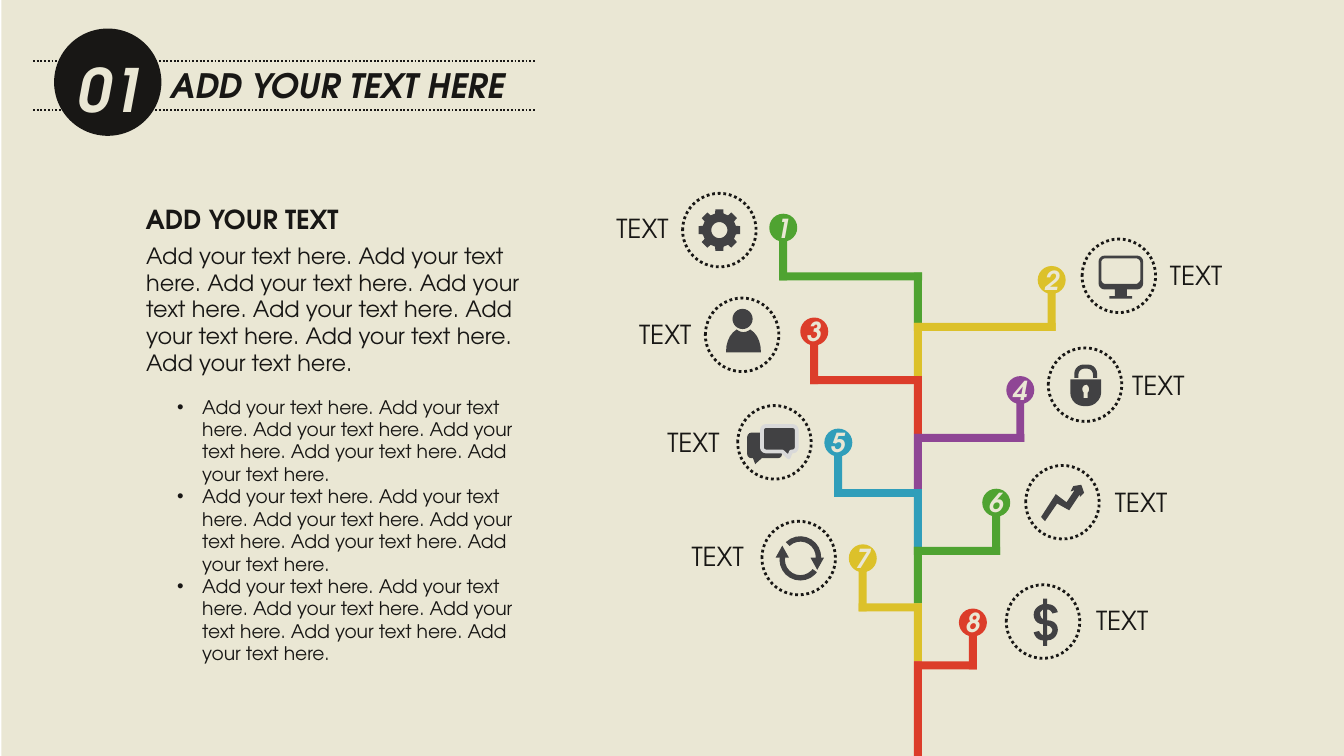
from dataclasses import dataclass
from math import cos, pi, sin

from lxml.etree import SubElement
from pptx import Presentation
from pptx.dml.color import RGBColor
from pptx.enum.dml import MSO_LINE
from pptx.enum.shapes import MSO_CONNECTOR, MSO_SHAPE
from pptx.enum.text import MSO_AUTO_SIZE, PP_ALIGN
from pptx.oxml.ns import qn
from pptx.util import Pt


@dataclass(frozen=True)
class Theme:
    font: str = "TeX Gyre Adventor"
    cream: str = "EAE7D4"
    ink: str = "181715"
    icon: str = "414143"
    edge: str = "D9D9D9"
    green: str = "4FA331"
    yellow: str = "DCC12A"
    red: str = "DC3D2A"
    purple: str = "8F4695"
    blue: str = "309EBA"
    number: int = 32
    title: int = 18
    label: int = 14
    body: int = 12
    bullet: int = 10


theme = Theme()
deck = Presentation()
deck.slide_width, deck.slide_height = Pt(720), Pt(405)
page = deck.slides.add_slide(deck.slide_layouts[6])
shapes = page.shapes


def add_solid(kind, left, top, width, height, colour=None):
    """Add a preset shape without outline; no colour means no fill."""
    shape = shapes.add_shape(kind, Pt(left), Pt(top), Pt(width), Pt(height))
    shape.shadow.inherit = False
    shape.line.fill.background()
    if colour:
        shape.fill.solid()
        shape.fill.fore_color.rgb = RGBColor.from_string(colour)
    else:
        shape.fill.background()
    return shape


def add_text(left, top, width, height, lines, size, colour=theme.ink, bold=False,
             italic=False, align=PP_ALIGN.LEFT, wrap=False, bullets=False):
    box = shapes.add_textbox(Pt(left), Pt(top), Pt(width), Pt(height))
    frame = box.text_frame
    frame.word_wrap = wrap
    frame.auto_size = MSO_AUTO_SIZE.SHAPE_TO_FIT_TEXT
    frame.text = "\n".join(lines)
    for para in frame.paragraphs:
        para.alignment = align
        if bullets:
            properties = para._p.get_or_add_pPr()
            properties.set("marL", str(Pt(13.5)))
            properties.set("indent", str(-Pt(13.5)))
            SubElement(properties, qn("a:buFont"), typeface="Arial")
            SubElement(properties, qn("a:buChar"), char="•")
        for span in para.runs:
            span.font.name = theme.font
            span.font.size = Pt(size)
            span.font.bold = bold
            span.font.italic = italic
            span.font.color.rgb = RGBColor.from_string(colour)


# Background and heading
add_solid(MSO_SHAPE.RECTANGLE, 0.7, 0, 719.3, 405, theme.cream)
for y in (32.6, 59):
    rule = shapes.add_connector(MSO_CONNECTOR.STRAIGHT, Pt(17.7), Pt(y), Pt(286.5), Pt(y))
    rule.line.color.rgb = RGBColor.from_string(theme.ink)
    rule.line.width = Pt(1)
    rule.line.dash_style = MSO_LINE.ROUND_DOT
    SubElement(rule._element.spPr, qn("a:effectLst"))
add_solid(MSO_SHAPE.OVAL, 29, 15.3, 57.5, 57.5, theme.ink)
add_text(84.2, 31, 198.7, 29, ["ADD YOUR TEXT HERE"], theme.title, bold=True, italic=True)
add_text(34.4, 24.6, 50.4, 46, ["01"], theme.number, theme.cream, bold=True, italic=True)

# Left column
sentence = "Add your text here."
add_text(71.2, 126, 226, 80, [" ".join([sentence] * 7), sentence], theme.body, wrap=True)
add_text(70.9, 105.5, 119, 24.5, ["ADD YOUR TEXT"], theme.label, bold=True)
add_text(87.8, 208.3, 203.8, 165, [" ".join([sentence] * 6)] * 3, theme.bullet,
         wrap=True, bullets=True)

# Tree: colour, stem x, ball y, joint y, ring centre, label centre
branches = [
    (theme.green, 419.6, 122, 146, (385.4, 123.3), (344.2, 122.4)),
    (theme.yellow, 563.4, 150, 173, (599.4, 147.8), (640.8, 147.6)),
    (theme.red, 436.2, 177.6, 201.5, (397.6, 179.4), (356.4, 179.3)),
    (theme.purple, 546.6, 209, 232.5, (581.3, 206.1), (620.6, 206.6)),
    (theme.blue, 449.1, 237.1, 262, (414.9, 237), (371.5, 236.9)),
    (theme.green, 533.7, 269.3, 293, (569.2, 269.1), (611.3, 269.3)),
    (theme.yellow, 462.2, 299.1, 323.3, (427.9, 299), (384.5, 298.1)),
    (theme.red, 521.2, 333.5, 354.3, (558.8, 333), (601.2, 332.6)),
]
trunk_x, bar, ball, ring_size = 491.8, 4.3, 15, 39.4
joints = [branch[3] for branch in branches] + [405]
for number, (colour, stem, ball_y, joint, ring_at, label_at) in enumerate(branches, 1):
    add_solid(MSO_SHAPE.RECTANGLE, trunk_x - bar / 2, joint, bar, joints[number] - joint, colour)
    add_solid(MSO_SHAPE.RECTANGLE, min(stem, trunk_x) - bar / 2, joint,
              abs(stem - trunk_x) + bar, bar, colour)
    add_solid(MSO_SHAPE.RECTANGLE, stem - bar / 2, ball_y, bar, joint + bar - ball_y, colour)
    add_solid(MSO_SHAPE.OVAL, stem - ball / 2, ball_y - ball / 2, ball, ball, colour)
    add_text(stem - 11.2, ball_y - 12, 22.4, 24.2, [str(number)], theme.label, theme.cream,
             bold=True, italic=True, align=PP_ALIGN.CENTER)
    ring = add_solid(MSO_SHAPE.OVAL, ring_at[0] - ring_size / 2, ring_at[1] - ring_size / 2,
                     ring_size, ring_size)
    ring.line.color.rgb = RGBColor.from_string(theme.ink)
    ring.line.width = Pt(1.5)
    ring.line.dash_style = MSO_LINE.ROUND_DOT
    add_text(label_at[0] - 21.6, label_at[1] - 12.1, 43.2, 24.2, ["TEXT"], theme.label,
             align=PP_ALIGN.CENTER)

# Icon outlines, in grid units from the ring centre.
# Two numbers are a corner, six are a curve (two handles and its end).
gear = [(radius * cos(tooth * pi / 4 + turn), radius * sin(tooth * pi / 4 + turn))
        for tooth in range(8)
        for radius, turn in ((12.7, -0.25), (15.8, -0.19), (15.8, 0.19), (12.7, 0.25))]
gear_hole = [(6 * cos(step * pi / 16), 6 * sin(step * pi / 16)) for step in range(32)]
shoulders = [(6, -4), (11, -1, 14, 5, 14, 13), (-12, 13), (-12, 5, -9, -1, -4, -4),
             (-3, -3, -1, -2, 1, -2), (3, -2, 5, -3, 6, -4)]
screen = [(-10, -13), (-12, -13, -13, -12, -13, -10), (-13, 3), (-13, 4, -12, 6, -10, 6),
          (13, 6), (14, 6, 16, 4, 16, 3), (16, -10), (16, -12, 14, -13, 13, -13)]
monitor = [(-11, -15), (14, -15), (16, -15, 18, -13, 18, -11), (18, 6), (18, 8, 16, 10, 14, 10),
           (6, 10), (6, 15), (10, 15), (10, 17), (-7, 17), (-7, 15), (-3, 15), (-3, 10),
           (-11, 10), (-13, 10, -15, 8, -15, 6), (-15, -11), (-15, -13, -13, -15, -11, -15)]
keyhole = [(1, 0), (-1, 0, -2, 2, -2, 3), (-2, 4, -2, 5, -1, 6), (-1, 10), (2, 10), (2, 6),
           (3, 5, 3, 4, 3, 3), (3, 2, 2, 0, 1, 0)]
lock = [(-11, -4), (12, -4), (12, 6), (12, 11, 7, 16, 2, 16), (-1, 16), (-7, 16, -11, 11, -11, 6)]
shackle = [(-1, -15), (2, -15), (6, -15, 9, -12, 9, -8), (9, -5), (6, -5), (6, -7),
           (6, -10, 4, -12, 1, -12), (0, -12), (-3, -12, -5, -10, -5, -7), (-5, -5), (-8, -5),
           (-8, -8), (-8, -12, -5, -15, -1, -15)]
trend = [(-16, 11), (-5, -6), (3, 0), (9, -9), (6, -8), (8, -12), (14, -13), (16, -7),
         (13, -4), (13, -6), (5, 6), (-4, 1), (-13, 14)]
dollar_low = [(3, 3), (3, 10), (5, 10, 7, 8, 7, 6), (6, 4, 5, 3, 3, 3)]
dollar_high = [(0, -9), (-1, -8, -3, -7, -2, -5), (-2, -4, -1, -2, 0, -2)]
dollar = [(0, -17), (3, -17), (3, -13), (7, -13, 10, -11, 11, -7), (7, -6), (6, -8, 5, -9, 3, -9),
          (3, -1), (8, -1, 11, 2, 11, 6), (11, 10, 8, 14, 3, 14), (3, 18), (0, 18), (0, 14),
          (-3, 14, -6, 12, -7, 8), (-3, 7), (-2, 9, -1, 10, 0, 10), (0, 2),
          (-4, 2, -7, -1, -7, -5), (-7, -9, -4, -12, 0, -13)]
icons = [(1, [gear, gear_hole]), (2, [monitor, screen]), (3, [shoulders]),
         (4, [lock, keyhole]), (4, [shackle]), (6, [trend]), (8, [dollar, dollar_low, dollar_high])]
grid = 0.72
for number, contours in icons:
    centre_x, centre_y = branches[number - 1][4]
    builder = None
    for contour in contours:
        points = []
        for step in contour:
            if len(step) == 2:
                points.append(step)
                continue
            x0, y0 = points[-1]
            x1, y1, x2, y2, x3, y3 = step
            for t in (0.2, 0.4, 0.6, 0.8, 1):
                a, b, c, d = (1 - t) ** 3, 3 * t * (1 - t) ** 2, 3 * t * t * (1 - t), t ** 3
                points.append((a * x0 + b * x1 + c * x2 + d * x3,
                               a * y0 + b * y1 + c * y2 + d * y3))
        points = [(Pt(centre_x + x * grid), Pt(centre_y + y * grid)) for x, y in points]
        if builder is None:
            builder = shapes.build_freeform(*points[0])
        else:
            builder.move_to(*points[0])
        builder.add_line_segments(points[1:], close=True)
    icon = builder.convert_to_shape()
    icon.shadow.inherit = False
    icon.fill.solid()
    icon.fill.fore_color.rgb = RGBColor.from_string(theme.icon)
    icon.line.fill.background()

# Icons made of preset shapes: head, speech bubbles, circling arrows
add_solid(MSO_SHAPE.OVAL, 392.4, 165.5, 10.8, 10.8, theme.icon)
for left, top, tail in ((400.3, 231.8, -0.27), (408.2, 228.2, 0.27)):
    bubble = add_solid(MSO_SHAPE.ROUNDED_RECTANGULAR_CALLOUT, left, top, 18.7, 13.7, theme.icon)
    bubble.adjustments[0], bubble.adjustments[1] = tail, 0.73
bubble.line.color.rgb = RGBColor.from_string(theme.edge)
bubble.line.width = Pt(2)
for top, turn, start in ((287.3, 17.1, 125.19), (288.7, 195, 121.23)):
    arc = add_solid(MSO_SHAPE.BLOCK_ARC, 417.6, top, 22.3, 22.3, theme.icon)
    arc.rotation = turn
    for index, value in enumerate((start, 214.74, 0.13)):
        arc.adjustments[index] = value
for left, top, turn in ((415.5, 292.3, 0), (434.2, 298.8, 180)):
    tip = add_solid(MSO_SHAPE.ISOSCELES_TRIANGLE, left, top, 7.2, 6.5, theme.icon)
    tip.rotation = turn

deck.save("out.pptx")
